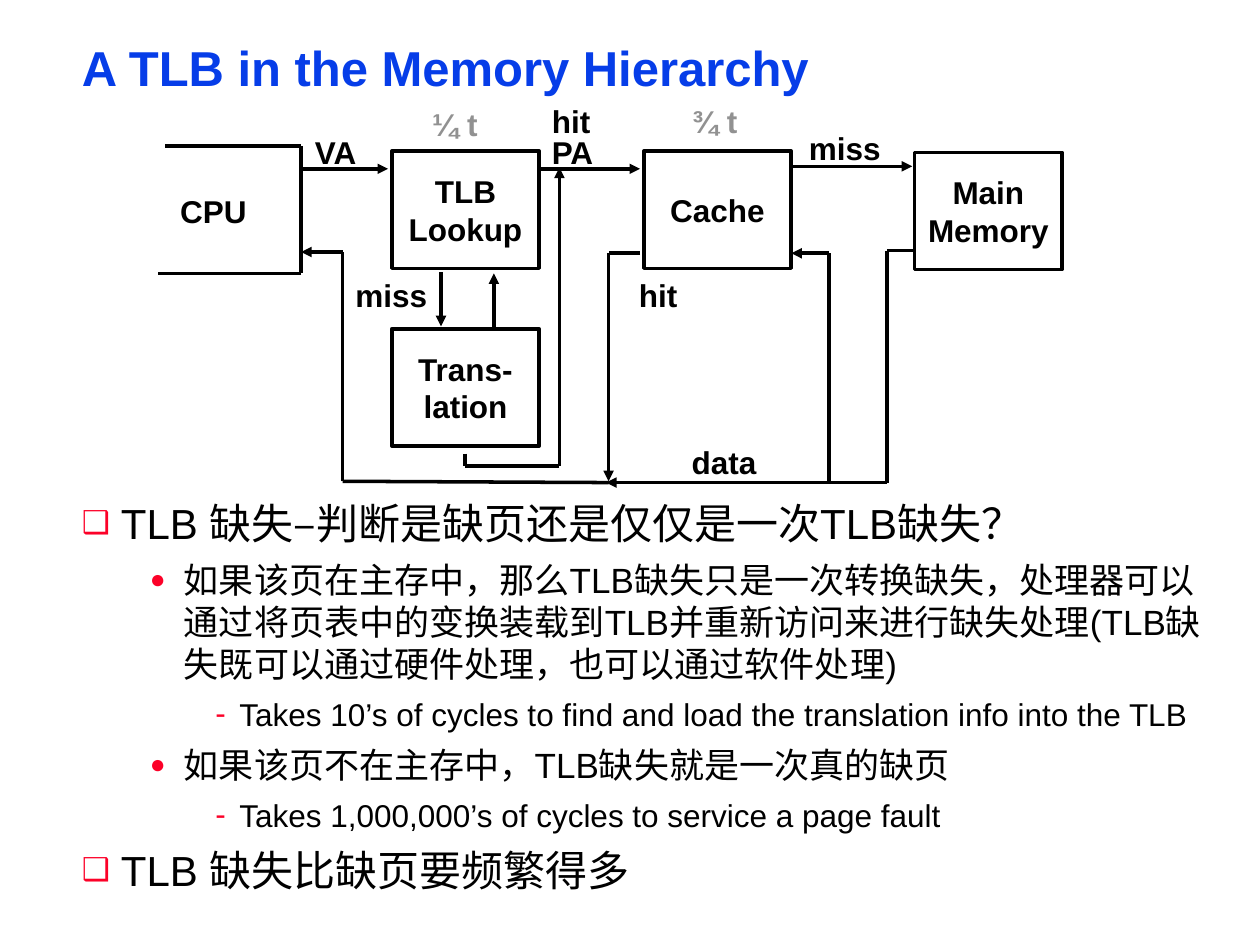
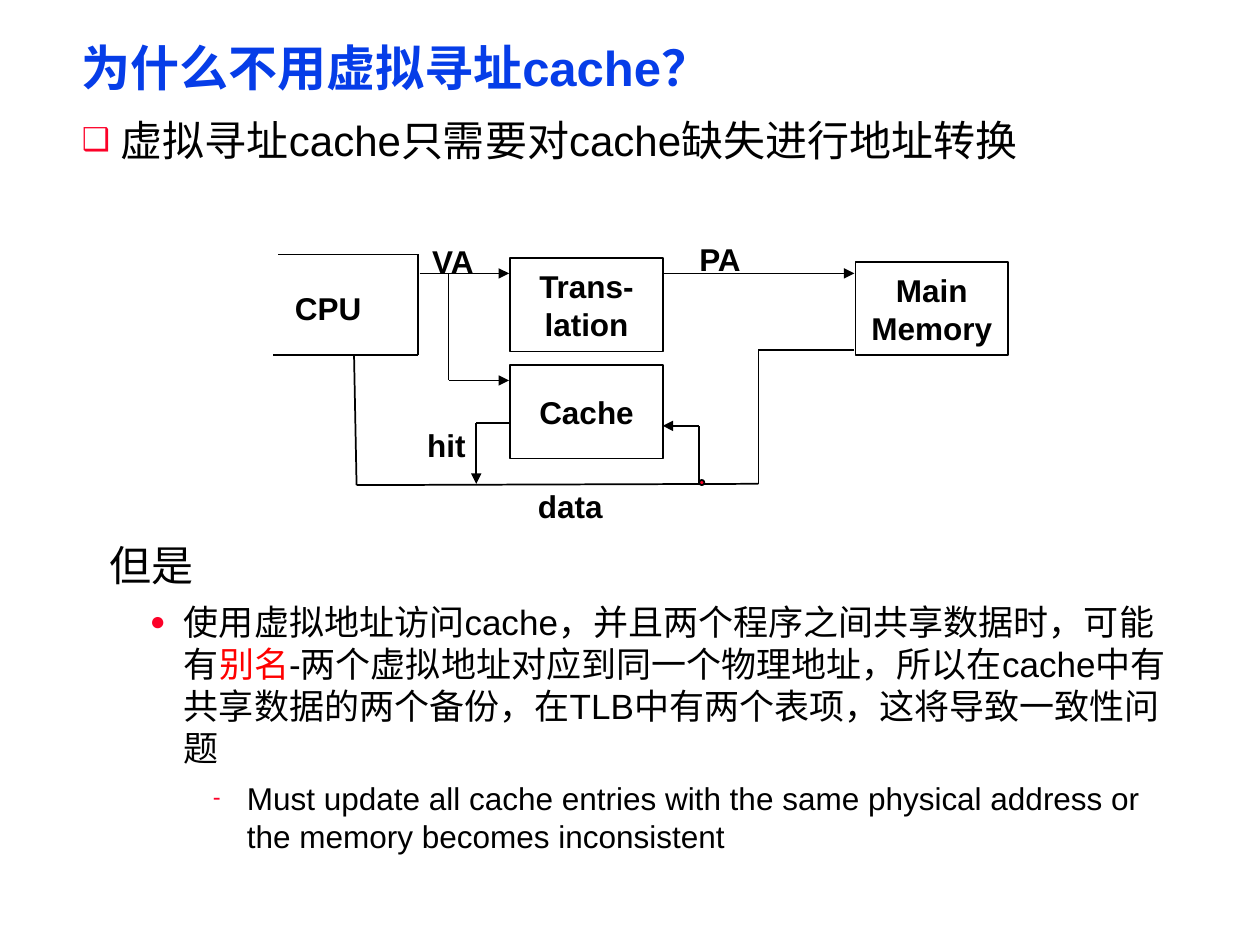
from itertools import pairwise
from lxml.etree import SubElement
from pptx import Presentation
from pptx.dml.color import RGBColor
from pptx.enum.shapes import MSO_CONNECTOR, MSO_SHAPE
from pptx.enum.text import MSO_ANCHOR, MSO_AUTO_SIZE, PP_ALIGN
from pptx.oxml.ns import qn
from pptx.util import Inches, Pt

COLS, ROWS = 100, 75
CELL = Inches(10) // COLS
FONT = "Arial"
BLACK, BLUE, GRAY = "000000", "063DE8", "919191"
ROSE, RED = "FC0128", "FF0000"
SIZES = (24, 20, 18)
MARKS = (("❑", 75), ("●", 75), ("-", 100))
DENTS = ((0.31, -0.31), (0.81, -0.27), (1.25, -0.19))
WIDTHS = {"CPU": 7.4, "VA": 5.6, "PA": 5.6, "miss": 7.8, "hit": 5.2,
          "data": 7.4, "¾ t": 6.2, "¼ t": 6.2}


def color(code):
    """Turn a hex string into a colour."""
    return RGBColor.from_string(code)


def cells(*spans):
    """Turn grid cells into slide lengths."""
    return [round(span * CELL) for span in spans]


def write(para, text, size, code=BLACK, bold=False):
    """Add one run to a paragraph."""
    run = para.add_run()
    run.text = text
    font = run.font
    font.name, font.size, font.bold = FONT, Pt(size), bold
    font.color.rgb = color(code)


def place(shape, box):
    """Move a shape onto a box of cells."""
    shape.left, shape.top, shape.width, shape.height = cells(*box)


def frame(shape):
    """Give a text frame the shared margins and return it."""
    text = shape.text_frame
    text.word_wrap, text.auto_size = True, MSO_AUTO_SIZE.NONE
    text.vertical_anchor = MSO_ANCHOR.TOP
    text.margin_left = text.margin_right = Inches(0.07)
    text.margin_top = text.margin_bottom = Inches(0.03)
    return text


def head(slide, text):
    """Fill the title of a slide."""
    place(slide.shapes.title, (5.8, 3.3, 89.2, 4.6))
    para = frame(slide.shapes.title).paragraphs[0]
    para.alignment, para.line_spacing = PP_ALIGN.LEFT, 0.87
    write(para, text, 28, BLUE, True)


def bullet(para, mark, size):
    """Set the bullet of a paragraph."""
    props = para._p.get_or_add_pPr()
    tint = SubElement(props, qn("a:buClr"))
    SubElement(tint, qn("a:srgbClr"), val=ROSE)
    SubElement(props, qn("a:buSzPct"), val=str(size * 1000))
    SubElement(props, qn("a:buFont"), typeface=FONT)
    SubElement(props, qn("a:buChar"), char=mark)


def outline(shape, box, items, marks=MARKS, dents=DENTS, lead=1.0):
    """Fill a shape with a list of levels and runs."""
    place(shape, box)
    text = frame(shape)
    for index, (level, *runs) in enumerate(items):
        para = text.add_paragraph() if index else text.paragraphs[0]
        para.level = level
        left, hang = dents[level]
        props = para._p.get_or_add_pPr()
        props.set("marL", str(Inches(left)))
        props.set("indent", str(Inches(hang)))
        if marks[level]:
            bullet(para, *marks[level])
        para.space_before = Pt(6 if index else 0)
        para.line_spacing = lead
        for run, code in runs:
            write(para, run, SIZES[level], code)


class Sketch:
    """A block diagram drawn from the corner of its box."""

    def __init__(self, shapes, corner, block, weight):
        """Keep the corner, block size and line weight."""
        self.shapes, self.corner = shapes, corner
        self.block, self.weight = block, weight

    def spot(self, left, top):
        """Shift a point by the corner."""
        return left + self.corner[0], top + self.corner[1]

    def edge(self, line):
        """Style a line."""
        line.color.rgb = color(BLACK)
        line.width = Pt(self.weight)

    def wire(self, *points, arrow=True):
        """Join points by straight lines, the last with an arrow."""
        for start, end in pairwise(points):
            link = self.shapes.add_connector(
                MSO_CONNECTOR.STRAIGHT,
                *cells(*self.spot(*start), *self.spot(*end)))
            self.edge(link.line)
            props = link.element.spPr
            if arrow and end == points[-1]:
                SubElement(props.find(qn("a:ln")), qn("a:tailEnd"),
                           type="triangle")
            SubElement(props, qn("a:effectLst"))

    def form(self, kind, point, size):
        """Add an edged shape with no shadow."""
        shape = self.shapes.add_shape(kind, *cells(*self.spot(*point), *size))
        shape.shadow.inherit = False
        self.edge(shape.line)
        return shape

    def node(self, point, *lines):
        """Add a block with centred text."""
        shape = self.form(MSO_SHAPE.RECTANGLE, point, self.block)
        shape.fill.background()
        text = shape.text_frame
        text.word_wrap, text.vertical_anchor = False, MSO_ANCHOR.MIDDLE
        for index, line in enumerate(lines):
            para = text.add_paragraph() if index else text.paragraphs[0]
            para.alignment = PP_ALIGN.CENTER
            write(para, line, 18, BLACK, True)

    def dot(self, point):
        """Add a small joint."""
        shape = self.form(MSO_SHAPE.OVAL, point, (0.4, 0.4))
        shape.fill.solid()
        shape.fill.fore_color.rgb = color(ROSE)

    def label(self, text, point, code=BLACK):
        """Add a bold label."""
        box = self.shapes.add_textbox(
            *cells(*self.spot(*point), WIDTHS[text], 3))
        para = frame(box).paragraphs[0]
        para.line_spacing = 0.85
        write(para, text, 18, code, True)


def lookup(shapes, corner):
    """Draw the path through TLB, cache and memory."""
    art = Sketch(shapes, corner, (11.7, 9.3), 2)
    art.wire((0.6, 3.3), (11.4, 3.3), (11.4, 13.4), (0, 13.4), arrow=False)
    art.node((18.6, 3.7), "TLB", "Lookup")
    art.node((38.6, 3.7), "Cache")
    art.node((60.1, 3.8), "Main", "Memory")
    art.node((18.6, 17.8), "Trans-", "lation")
    for path in (
        ((11.5, 5.1), (18.3, 5.1)),
        ((30.3, 5.1), (38.3, 5.1)),
        ((50.4, 4.9), (59.9, 4.9)),
        ((60.1, 11.6), (57.9, 11.6), (57.9, 30), (35.6, 30)),
        ((35.8, 30), (14.7, 29.9), (14.7, 11.7), (11.4, 11.7)),
        ((53.3, 30), (53.3, 11.8), (50.3, 11.8)),
        ((38.3, 11.8), (35.8, 11.8), (35.8, 29.9)),
        ((22.5, 13.3), (22.5, 17.6)),
        ((26.7, 17.7), (26.7, 13.4)),
        ((24.4, 27.7), (24.4, 28.7), (31.9, 28.7), (31.9, 5)),
    ):
        art.wire(*path)
    for text, point in (
        ("CPU", (1.1, 7.1)), ("VA", (11.8, 2.4)), ("PA", (30.6, 2.4)),
        ("hit", (30.6, 0)), ("miss", (51, 2.1)), ("miss", (15, 13.8)),
        ("hit", (37.5, 13.8)), ("data", (41.7, 27)),
    ):
        art.label(text, point)
    art.label("¼ t", (21.1, 0.2), GRAY)
    art.label("¾ t", (41.7, 0), GRAY)


def virtual(shapes, corner):
    """Draw the cache that takes virtual addresses."""
    art = Sketch(shapes, corner, (12.1, 7.4), 1)
    art.wire((0.4, 1), (11.5, 1), (11.5, 9), (0, 9), arrow=False)
    art.node((18.8, 1.3), "Trans-", "lation")
    art.node((18.8, 9.8), "Cache")
    art.node((46.2, 1.6), "Main", "Memory")
    for path in (
        ((11.6, 2.5), (18.7, 2.5)),
        ((31, 2.5), (46.1, 2.5)),
        ((13.9, 2.5), (13.9, 11), (18.7, 11)),
        ((33.8, 19.3), (33.8, 14.6), (30.9, 14.6)),
        ((18.8, 14.4), (16.1, 14.4), (16.1, 19.2)),
    ):
        art.wire(*path)
    art.wire((46.1, 8.6), (38.5, 8.6), (38.5, 19.2), (6.6, 19.3),
             (6.4, 9), arrow=False)
    art.dot((33.8, 18.9))
    for text, point in (
        ("CPU", (1, 3.9)), ("VA", (11.9, 0.2)), ("PA", (33.1, 0)),
        ("hit", (11.5, 14.8)), ("data", (20.3, 19.6)),
    ):
        art.label(text, point)


def tlb(slide):
    """Build the slide on the memory hierarchy."""
    head(slide, "A TLB in the Memory Hierarchy")
    outline(slide.placeholders[1], (5.8, 39.2, 90.8, 32.4), (
        (0, ("TLB 缺失–判断是缺页还是仅仅是一次TLB缺失？", BLACK)),
        (1, ("如果该页在主存中，那么TLB缺失只是一次转换缺失，处理器可以通过"
             "将页表中的变换装载到TLB并重新访问来进行缺失处理(TLB缺失既可以"
             "通过硬件处理，也可以通过软件处理)", BLACK)),
        (2, ("Takes 10’s of cycles to find and load the translation info "
             "into the TLB", BLACK)),
        (1, ("如果该页不在主存中，TLB缺失就是一次真的缺页", BLACK)),
        (2, ("Takes 1,000,000’s of cycles to service a page fault", BLACK)),
        (0, ("TLB 缺失比缺页要频繁得多", BLACK)),
    ))
    lookup(slide.shapes, (12.5, 8.3))


def alias(slide):
    """Build the slide on virtually addressed caches."""
    head(slide, "为什么不用虚拟寻址cache？")
    outline(slide.placeholders[1], (5.8, 9.2, 89.2, 4.2), (
        (0, ("虚拟寻址cache只需要对cache缺失进行地址转换", BLACK)),
    ), lead=0.9)
    virtual(slide.shapes.add_group_shape().shapes, (21.7, 19.2))
    box = (5.8, 42.5, 89.2, 22.7)
    outline(slide.shapes.add_textbox(*cells(*box)), box, (
        (0, ("但是", BLACK)),
        (1, ("使用虚拟地址访问cache，并且两个程序之间共享数据时，可能有", BLACK),
            ("别名", RED),
            ("-两个虚拟地址对应到同一个物理地址，所以在cache中有共享数据的"
             "两个备份，在TLB中有两个表项，这将导致一致性问题", BLACK)),
        (2, ("Must update all cache entries with the same physical address "
             "or the memory becomes inconsistent", BLACK)),
    ), (None, MARKS[1], ("-", 75)), ((0.22, 0), DENTS[1], (1.31, -0.27)))


def main():
    """Build and save the deck."""
    deck = Presentation()
    deck.slide_width, deck.slide_height = cells(COLS, ROWS)
    for build in (tlb, alias):
        build(deck.slides.add_slide(deck.slide_layouts[1]))
    deck.save("out.pptx")


if __name__ == "__main__":
    main()
